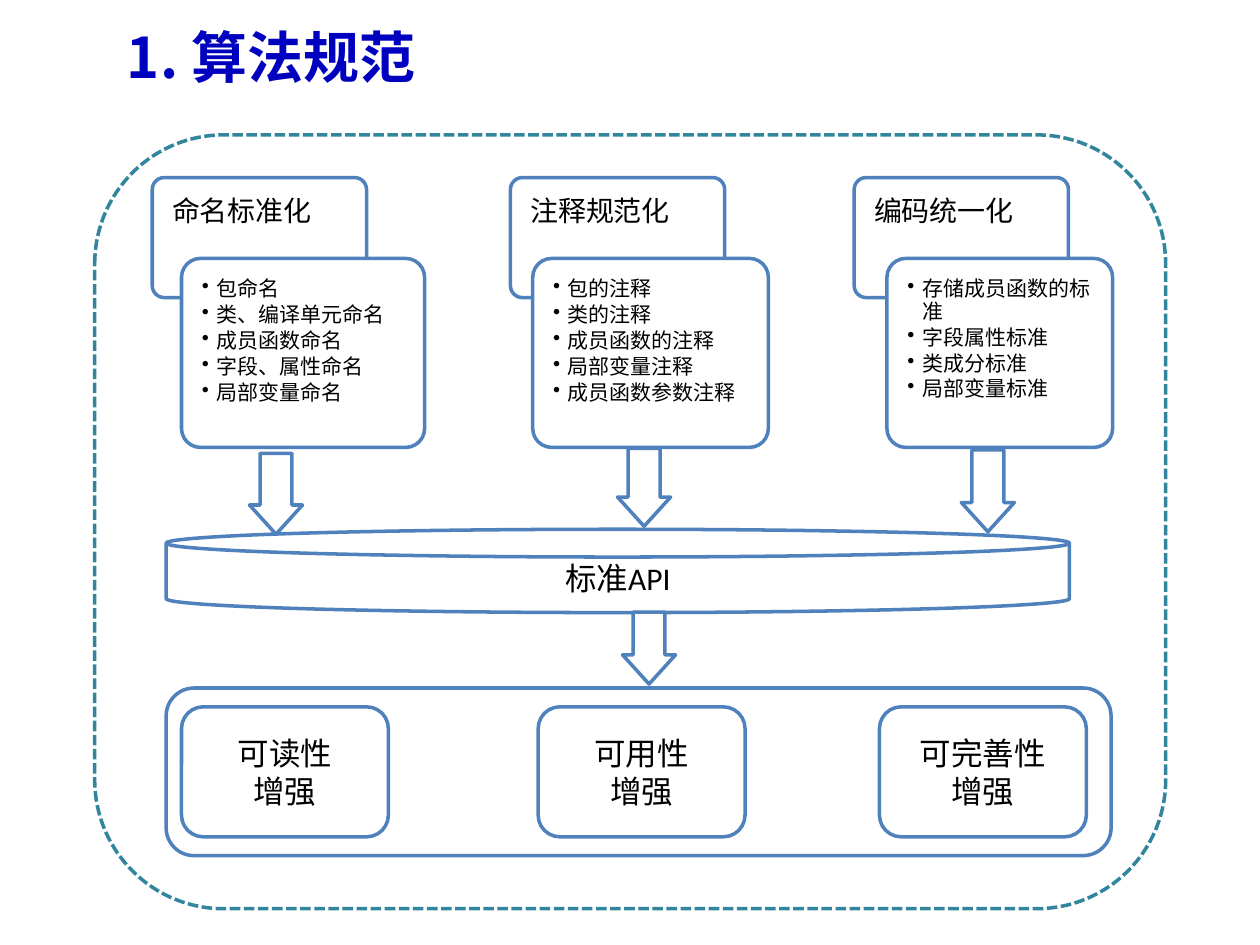
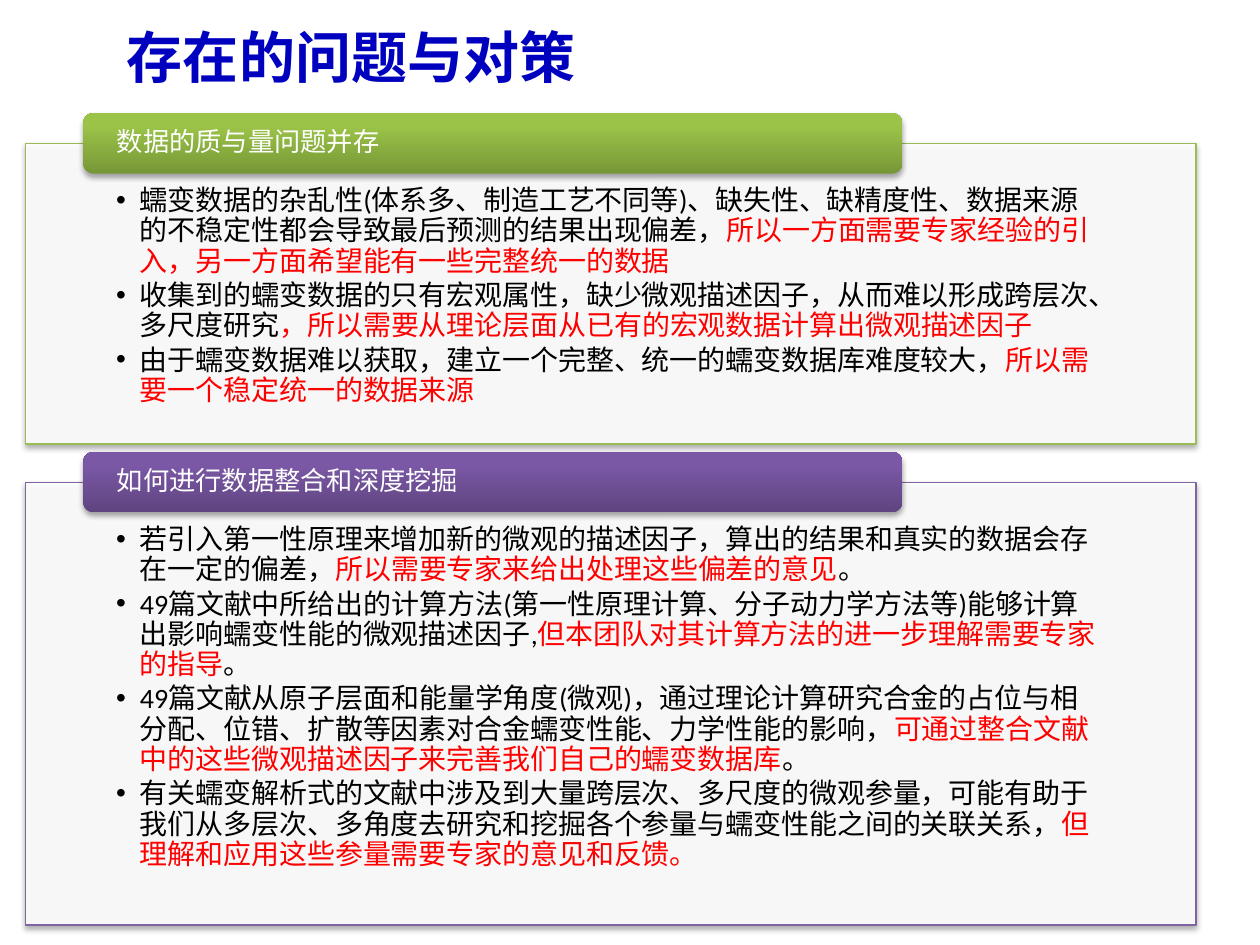
from lxml.etree import SubElement
from pptx import Presentation
from pptx.dml.color import RGBColor
from pptx.enum.dml import MSO_LINE
from pptx.enum.shapes import MSO_SHAPE
from pptx.enum.text import MSO_ANCHOR, MSO_AUTO_SIZE, PP_ALIGN
from pptx.oxml.ns import qn
from pptx.util import Cm, Pt

TITLE_FONT, BODY_FONT = "Noto Sans CJK SC", "Calibri"
TITLE_BLUE, LINE_BLUE, TEAL = "0000BF", "4F81BD", "31859C"
GREEN, PURPLE = "9BBB59", "8064A2"
BLACK, WHITE, RED = "000000", "FFFFFF", "FF0000"

STANDARDS = [
    ("命名标准化", 3.07, 3.66, 4.9,
     ["包命名", "类、编译单元命名", "成员函数命名", "字段、属性命名", "局部变量命名"]),
    ("注释规范化", 10.29, 10.74, 4.75,
     ["包的注释", "类的注释", "成员函数的注释", "局部变量注释", "成员函数参数注释"]),
    ("编码统一化", 17.22, 17.88, 4.55,
     ["存储成员函数的标准", "字段属性标准", "类成分标准", "局部变量标准"]),
]
ARROWS = [(5.03, 9.14, 1.63), (12.45, 9.04, 1.57), (19.38, 9.07, 1.65), (12.55, 12.34, 1.45)]
BENEFITS = [("可读性", 3.66), ("可用性", 10.85), ("可完善性", 17.73)]

DATA_ISSUES = [
    ("蠕变数据的杂乱性(体系多、制造工艺不同等)、缺失性、缺精度性、数据来源的不稳定性都会导致最后预测的结果出现偏差，",
     "所以一方面需要专家经验的引入，另一方面希望能有一些完整统一的数据"),
    ("收集到的蠕变数据的只有宏观属性，缺少微观描述因子，从而难以形成跨层次、多尺度研究",
     "，所以需要从理论层面从已有的宏观数据计算出微观描述因子"),
    ("由于蠕变数据难以获取，建立一个完整、统一的蠕变数据库难度较大，",
     "所以需要一个稳定统一的数据来源"),
]
MINING_ISSUES = [
    ("若引入第一性原理来增加新的微观的描述因子，算出的结果和真实的数据会存在一定的偏差，",
     "所以需要专家来给出处理这些偏差的意见", "。"),
    ("49篇文献中所给出的计算方法(第一性原理计算、分子动力学方法等)能够计算出影响蠕变性能的微观描述因子,",
     "但本团队对其计算方法的进一步理解需要专家的指导", "。"),
    ("49篇文献从原子层面和能量学角度(微观)，通过理论计算研究合金的占位与相分配、位错、扩散等因素对合金蠕变性能、力学性能的影响，",
     "可通过整合文献中的这些微观描述因子来完善我们自己的蠕变数据库", "。"),
    ("有关蠕变解析式的文献中涉及到大量跨层次、多尺度的微观参量，可能有助于我们从多层次、多角度去研究和挖掘各个参量与蠕变性能之间的关联关系，",
     "但理解和应用这些参量需要专家的意见和反馈。"),
]


def rgb(color):
    return RGBColor.from_string(color)


def place(sp, left, top, width, height):
    sp.left, sp.top, sp.width, sp.height = Cm(left), Cm(top), Cm(width), Cm(height)


def style_run(r, size, color, font=BODY_FONT, bold=False):
    r.font.size, r.font.name, r.font.bold = Pt(size), font, bold
    r.font.color.rgb = rgb(color)


def set_frame(tf, insets, anchor=MSO_ANCHOR.TOP):
    tf.word_wrap, tf.auto_size, tf.vertical_anchor = True, MSO_AUTO_SIZE.NONE, anchor
    tf.margin_left, tf.margin_top, tf.margin_right, tf.margin_bottom = map(Cm, insets)


def set_label(sp, text, size, color=BLACK, align=PP_ALIGN.CENTER):
    sp.text_frame.text = text
    for p in sp.text_frame.paragraphs:
        p.alignment = align
        for r in p.runs:
            style_run(r, size, color)


def set_bullets(tf, items, size, indent):
    for i, parts in enumerate(items):
        p = tf.paragraphs[0] if i == 0 else tf.add_paragraph()
        pPr = p._p.get_or_add_pPr()
        pPr.set("marL", str(Cm(indent)))
        pPr.set("indent", str(-Cm(indent)))
        SubElement(pPr, qn("a:buChar")).set("char", "•")
        p.alignment = PP_ALIGN.LEFT
        p.line_spacing, p.space_before, p.space_after = 0.9, Pt(0), Pt(0.15 * size)
        for n, part in enumerate(parts):
            r = p.add_run()
            r.text = part
            style_run(r, size, RED if n % 2 else BLACK)


def add_box(s, kind, left, top, width, height, fill=WHITE, line=LINE_BLUE, weight=2):
    sp = s.shapes.add_shape(kind, Cm(left), Cm(top), Cm(width), Cm(height))
    sp.shadow.inherit = False
    if fill:
        sp.fill.solid()
        sp.fill.fore_color.rgb = rgb(fill)
    else:
        sp.fill.background()
    if line:
        sp.line.color.rgb = rgb(line)
        sp.line.width = Pt(weight)
    else:
        sp.line.fill.background()
    return sp


def set_alpha(color_el, percent):
    SubElement(color_el, qn("a:alpha")).set("val", str(percent * 1000))


def add_shadow(sp):
    effects = sp._element.spPr.find(qn("a:effectLst"))
    shadow = SubElement(effects, qn("a:outerShdw"), blurRad=str(Pt(3.1)), dist=str(Pt(1.8)),
                        dir="5400000", rotWithShape="0")
    set_alpha(SubElement(shadow, qn("a:srgbClr"), val=BLACK), 35)


def set_title(s, text):
    title = s.shapes.title
    place(title, 2.31, 0.03, 22.86, 2.21)
    set_frame(title.text_frame, (0.25, 0.13, 0.25, 0.13), MSO_ANCHOR.MIDDLE)
    title.text_frame.text = text
    p = title.text_frame.paragraphs[0]
    p.alignment = PP_ALIGN.LEFT
    r = p.runs[0]
    style_run(r, 32, TITLE_BLUE, TITLE_FONT, True)
    SubElement(r._r.get_or_add_rPr(), qn("a:ea")).set("typeface", TITLE_FONT)


def add_standard(s, heading, left, list_left, list_width, items):
    card = add_box(s, MSO_SHAPE.ROUNDED_RECTANGLE, left, 3.58, 4.32, 2.42)
    card.adjustments[0] = 0.1
    set_frame(card.text_frame, (0.33, 0.33, 0.33, 1))
    set_label(card, heading, 16, align=PP_ALIGN.LEFT)
    card.text_frame.paragraphs[0].line_spacing = 0.9
    card = add_box(s, MSO_SHAPE.ROUNDED_RECTANGLE, list_left, 5.21, list_width, 3.81)
    card.adjustments[0] = 0.1
    set_frame(card.text_frame, (0.3, 0.3, 0.3, 0.3))
    set_bullets(card.text_frame, [(item,) for item in items], 12, 0.3)


def add_down_arrow(s, left, top, height):
    arrow = add_box(s, MSO_SHAPE.DOWN_ARROW, left, top, 1.07, height)
    arrow.adjustments[0], arrow.adjustments[1] = 0.6, 0.55


def add_issue_panel(s, body, heading, items, top, height, line, dark, light):
    panel = add_box(s, MSO_SHAPE.RECTANGLE, 0.51, top, 23.6, height, line=line, weight=0.75)
    set_alpha(panel._element.spPr.find(qn("a:solidFill"))[0], 90)
    add_shadow(panel)

    place(body, 0.51, top, 23.6, height)
    set_frame(body.text_frame, (1.83, 0.86, 1.83, 0.3))
    set_bullets(body.text_frame, items, 16, 0.48)
    s.shapes._spTree.append(body._element)

    tab = add_box(s, MSO_SHAPE.ROUNDED_RECTANGLE, 1.68, top - 0.62, 16.51, 1.22, line=None)
    tab.fill.gradient()
    tab.fill.gradient_angle = 90
    for stop, color, position in zip(tab.fill.gradient_stops, (dark, light), (0, 0.8)):
        stop.color.rgb = rgb(color)
        stop.position = position
    add_shadow(tab)
    set_frame(tab.text_frame, (0.62, 0, 0.62, 0), MSO_ANCHOR.MIDDLE)
    set_label(tab, heading, 15, WHITE, PP_ALIGN.LEFT)
    tab.text_frame.paragraphs[0].line_spacing = 0.9


def build_standards_slide(prs):
    s = prs.slides.add_slide(prs.slide_layouts[5])
    set_title(s, "1. 算法规范")
    for standard in STANDARDS:
        add_standard(s, *standard)
    add_box(s, MSO_SHAPE.FLOWCHART_ALTERNATE_PROCESS, 3.35, 13.87, 19.05, 3.38)
    for name, left in BENEFITS:
        sp = add_box(s, MSO_SHAPE.FLOWCHART_ALTERNATE_PROCESS, left, 14.25, 4.17, 2.62)
        set_label(sp, name + "\n增强", 18)
    disk = add_box(s, MSO_SHAPE.FLOWCHART_MAGNETIC_DISK, 3.35, 10.67, 18.21, 1.68)
    set_label(disk, "标准API", 18)
    frame = add_box(s, MSO_SHAPE.ROUNDED_RECTANGLE, 1.91, 2.72, 21.59, 15.6, None, TEAL)
    frame.line.dash_style = MSO_LINE.SQUARE_DOT
    for arrow in ARROWS:
        add_down_arrow(s, *arrow)


def build_issues_slide(prs):
    s = prs.slides.add_slide(prs.slide_layouts[3])
    set_title(s, "存在的问题与对策")
    first, second = s.placeholders[1], s.placeholders[2]
    add_issue_panel(s, first, "数据的质与量问题并存", DATA_ISSUES,
                    2.9, 6.05, GREEN, "779737", "9BC348")
    add_issue_panel(s, second, "如何进行数据整合和深度挖掘", MINING_ISSUES,
                    9.73, 8.92, PURPLE, "5F4480", "7B58A6")


def main():
    prs = Presentation()
    prs.slide_width, prs.slide_height = Cm(25.4), Cm(19.05)
    build_standards_slide(prs)
    build_issues_slide(prs)
    prs.save("out.pptx")


if __name__ == "__main__":
    main()
